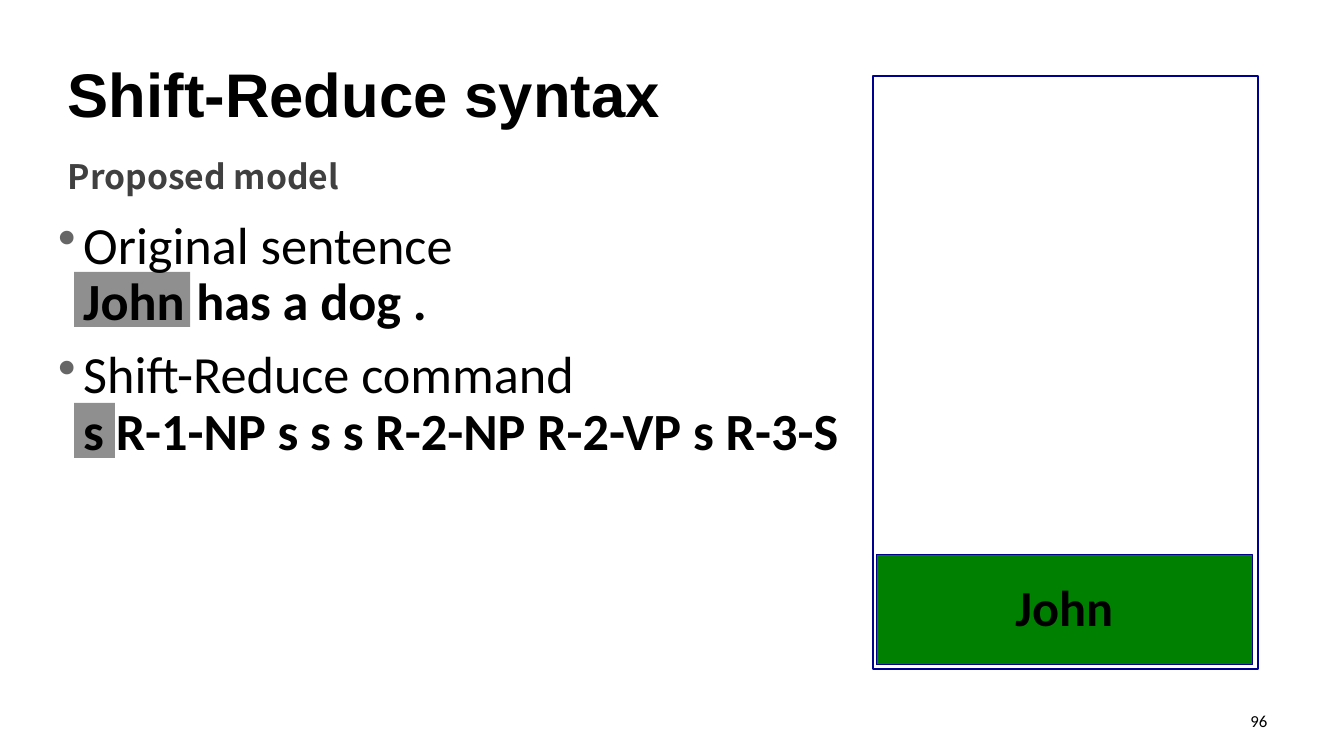
from lxml import etree
from pptx import Presentation
from pptx import util as u
from pptx.dml.color import RGBColor
from pptx.enum import shapes, text
from pptx.oxml import ns

COLORS = {"ink": "000000", "muted": "404040", "bullet": "666666",
          "stack": "000090", "item": "008000"}
EMU_PER_PX = 914400 / 100.8


class SlideBuilder:
    """Adds styled elements, placed in px, to one slide."""

    def __init__(self, slide):
        self.slide = slide

    def px(self, *lengths):
        return [u.Emu(round(length * EMU_PER_PX)) for length in lengths]

    def color(self, name):
        return RGBColor.from_string(COLORS[name])

    def style(self, paragraph, size, name="Calibri", color="ink", bold=None):
        font = paragraph.font
        font.size, font.name, font.bold = u.Pt(size), name, bold
        font.color.rgb = self.color(color)

    def frame(self, shape, anchor, inset=True):
        frame = shape.text_frame
        frame.word_wrap = True
        frame.vertical_anchor = anchor
        if not inset:
            frame.margin_left = frame.margin_right = 0
            frame.margin_top = frame.margin_bottom = 0
        return frame

    def label(self, box, words, size, anchor=text.MSO_ANCHOR.MIDDLE,
              align=text.PP_ALIGN.LEFT, **font):
        shape = self.slide.shapes.add_textbox(*self.px(*box))
        paragraph = self.frame(shape, anchor).paragraphs[0]
        paragraph.text, paragraph.alignment = words, align
        self.style(paragraph, size, **font)

    def bullets(self, box, items, size):
        shape = self.slide.shapes.add_textbox(*self.px(*box))
        frame = self.frame(shape, text.MSO_ANCHOR.TOP, inset=False)
        for index, (heading, example) in enumerate(items):
            paragraph = frame.add_paragraph() if index else frame.paragraphs[0]
            properties = paragraph._p.get_or_add_pPr()
            indent = u.Inches(0.25)
            properties.set("marL", str(indent))
            properties.set("indent", str(-indent))
            tint = etree.SubElement(properties, ns.qn("a:buClr"))
            etree.SubElement(tint, ns.qn("a:srgbClr"), val=COLORS["bullet"])
            etree.SubElement(properties, ns.qn("a:buChar"), char="•")
            paragraph.line_spacing = 0.9
            if index:
                paragraph.space_before = u.Pt(12)
            self.style(paragraph, size)
            paragraph.add_run().text = heading
            paragraph.add_line_break()
            run = paragraph.add_run()
            run.text, run.font.bold = example, True

    def rectangle(self, box, fill=None, line=None, width=1.0, alpha=None):
        shape = self.slide.shapes.add_shape(shapes.MSO_SHAPE.RECTANGLE, *self.px(*box))
        shape.shadow.inherit = False
        if fill:
            shape.fill.solid()
            shape.fill.fore_color.rgb = self.color(fill)
        else:
            shape.fill.background()
        if alpha is not None:
            tint = shape._element.spPr.find(ns.qn("a:solidFill"))[0]
            etree.SubElement(tint, ns.qn("a:alpha"), val=str(alpha * 1000))
        if line:
            shape.line.color.rgb = self.color(line)
            shape.line.width = u.Pt(width)
        else:
            shape.line.fill.background()
        return shape

    def stack_item(self, box, word):
        shape = self.rectangle(box, fill="item", line="stack", width=0.75)
        paragraph = self.frame(shape, text.MSO_ANCHOR.MIDDLE, inset=False).paragraphs[0]
        paragraph.text, paragraph.alignment = word, text.PP_ALIGN.CENTER
        paragraph.line_spacing = 0.9
        self.style(paragraph, 36, bold=True)


def main():
    presentation = Presentation()
    presentation.slide_width, presentation.slide_height = u.Inches(13.33), u.Inches(7.5)
    builder = SlideBuilder(presentation.slides.add_slide(presentation.slide_layouts[6]))

    builder.label((964, 701, 313, 40), "96", 12, align=text.PP_ALIGN.RIGHT)
    builder.stack_item((876, 555, 376, 110), "John")
    builder.rectangle((873, 76, 385, 593), line="stack", width=1.5)
    builder.label((58, 44, 1227, 98), "Shift-Reduce syntax", 44, name="Arial", bold=True)
    builder.label((58, 151, 1227, 38), "Proposed model", 24, anchor=text.MSO_ANCHOR.TOP,
                  name="Noto Sans CJK KR", color="muted", bold=True)
    builder.bullets((58, 219, 887, 421), [
        ("Original sentence", "John has a dog ."),
        ("Shift-Reduce command", "s R-1-NP s s s R-2-NP R-2-VP s R-3-S"),
    ], 37.3)
    for top, width in ((403, 41), (272, 116)):
        builder.rectangle((74, top, width, 55), fill="ink", alpha=44)
    presentation.save("out.pptx")


if __name__ == "__main__":
    main()
